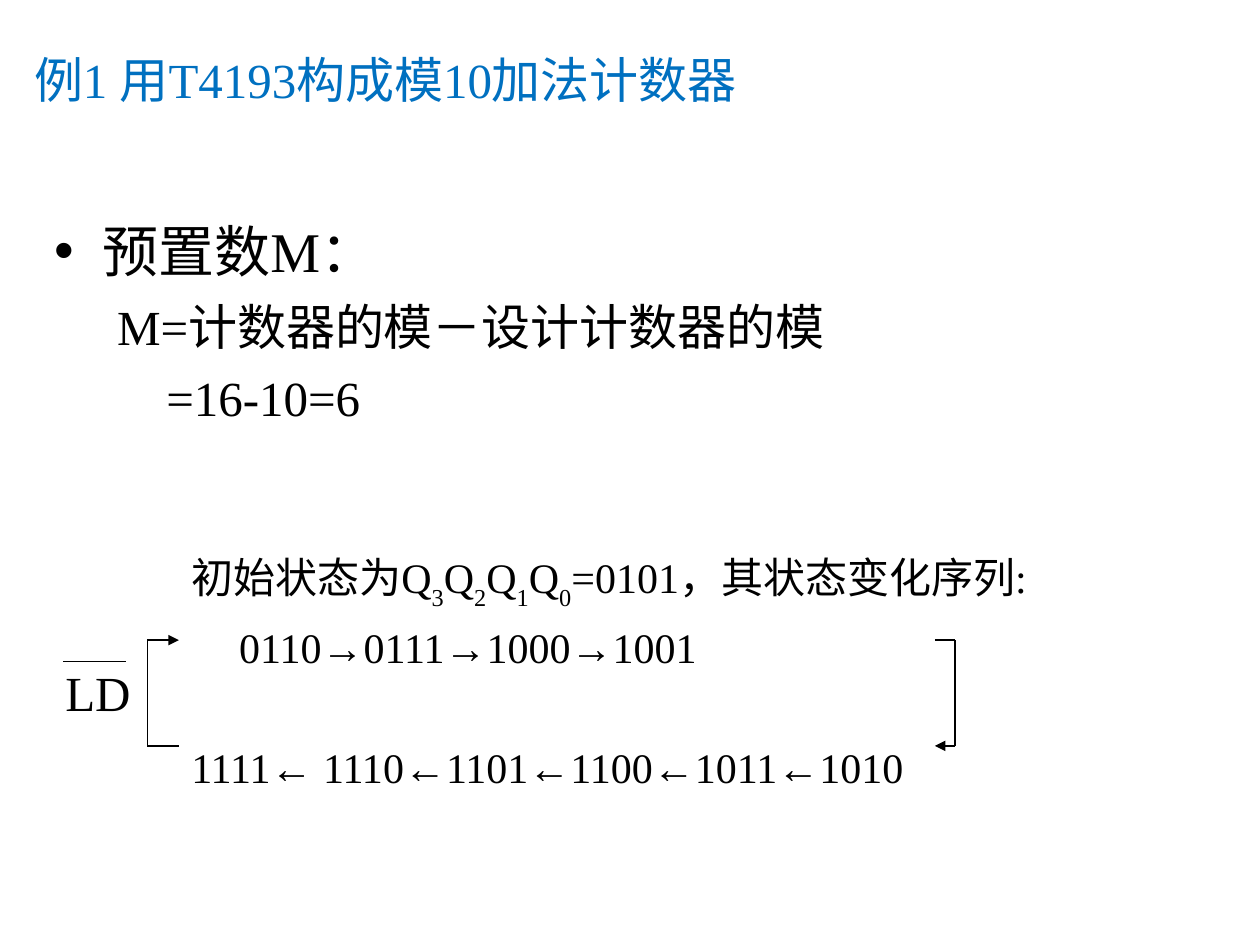
import pptx
import pptx.util
import pptx.dml.color
import pptx.enum.shapes
import pptx.enum.text
import pptx.oxml.ns
from lxml import etree
from pptx.util import Inches

COLORS = {"title": "0070C0", "text": "000000", "line": "000000"}
FONT = "Times New Roman"
qn = pptx.oxml.ns.qn


def write(p, text, size, color="text", before=0, left=0, indent=0, bullet=None):
    """Fill a paragraph; parts of text between underscores become subscripts."""
    p.alignment = pptx.enum.text.PP_ALIGN.LEFT
    p.space_before = pptx.util.Pt(before)
    pPr = p._p.get_or_add_pPr()
    pPr.set("marL", str(Inches(left)))
    pPr.set("indent", str(Inches(indent)))
    if bullet:
        etree.SubElement(pPr, qn("a:buChar")).set("char", bullet)
    else:
        etree.SubElement(pPr, qn("a:buNone"))
    for i, part in enumerate(text.split("_")):
        r = p.add_run()
        r.text = part
        r.font.size = pptx.util.Pt(size)
        r.font.name = FONT
        r.font.color.rgb = pptx.dml.color.RGBColor.from_string(COLORS[color])
        if i % 2:
            r._r.get_or_add_rPr().set("baseline", "-30000")


prs = pptx.Presentation()
prs.slide_width, prs.slide_height = Inches(10), Inches(7.5)
s = prs.slides.add_slide(prs.slide_layouts[1])

# Title
title = s.shapes.title
title.left, title.top = Inches(0.17), Inches(0.25)
title.width, title.height = Inches(7.42), Inches(0.75)
tf = title.text_frame
tf.auto_size = pptx.enum.text.MSO_AUTO_SIZE.NONE
tf.vertical_anchor = pptx.enum.text.MSO_ANCHOR.MIDDLE
write(tf.paragraphs[0], "例1 用T4193构成模10加法计数器", 28, color="title")

# Preset value
body = s.placeholders[1]
body.left, body.top = Inches(0.33), Inches(1.67)
body.width, body.height = Inches(8.92), Inches(1.83)
tf = body.text_frame
tf.auto_size = pptx.enum.text.MSO_AUTO_SIZE.NONE
write(tf.paragraphs[0], "预置数M：", 32, before=8, left=0.38, indent=-0.38, bullet="•")
for text, indent in (("M=计数器的模－设计计数器的模", -0.31), ("=16-10=6", 0.08)):
    p = tf.add_paragraph()
    p.level = 1
    write(p, text, 28, before=7, left=0.81, indent=indent)

# State sequence
sp = s.shapes.add_textbox(Inches(1.42), Inches(4.33), Inches(8.25), Inches(1.58))
tf = sp.text_frame
tf.word_wrap = True
states = [
    ("初始状态为Q_3_Q_2_Q_1_Q_0_=0101，其状态变化序列:", 6, -0.38),
    ("0110→0111→1000→1001", 6, 0),
    ("1111← 1110←1101←1100←1011←1010", 39.6, -0.38),
]
for i, (text, before, indent) in enumerate(states):
    p = tf.add_paragraph() if i else tf.paragraphs[0]
    write(p, text, 24, before=before, left=0.38, indent=indent)

# Load signal label
sp = s.shapes.add_textbox(Inches(0.42), Inches(5.17), Inches(0.92), Inches(0.57))
tf = sp.text_frame
tf.word_wrap = True
tf.margin_top = Inches(0.09)
write(tf.paragraphs[0], "LD", 28)

# Loop brackets with an arrow on the last leg, and the bar over LD
top, bottom = 5.08, 5.92
paths = [
    ([(7.42, top), (7.58, top), (7.58, bottom), (7.42, bottom)], True),
    ([(1.42, bottom), (1.17, bottom), (1.17, top), (1.42, top)], True),
    ([(0.5, 5.25), (1, 5.25)], False),
]
for points, arrow in paths:
    for start, end in zip(points, points[1:]):
        c = s.shapes.add_connector(
            pptx.enum.shapes.MSO_CONNECTOR.STRAIGHT,
            *(Inches(v) for v in start + end))
        c.line.width = pptx.util.Pt(0.75)
        c.line.color.rgb = pptx.dml.color.RGBColor.from_string(COLORS["line"])
        if arrow and end == points[-1]:
            etree.SubElement(c.line._get_or_add_ln(), qn("a:tailEnd")).set("type", "triangle")
        etree.SubElement(c._element.spPr, qn("a:effectLst"))

prs.save("out.pptx")
